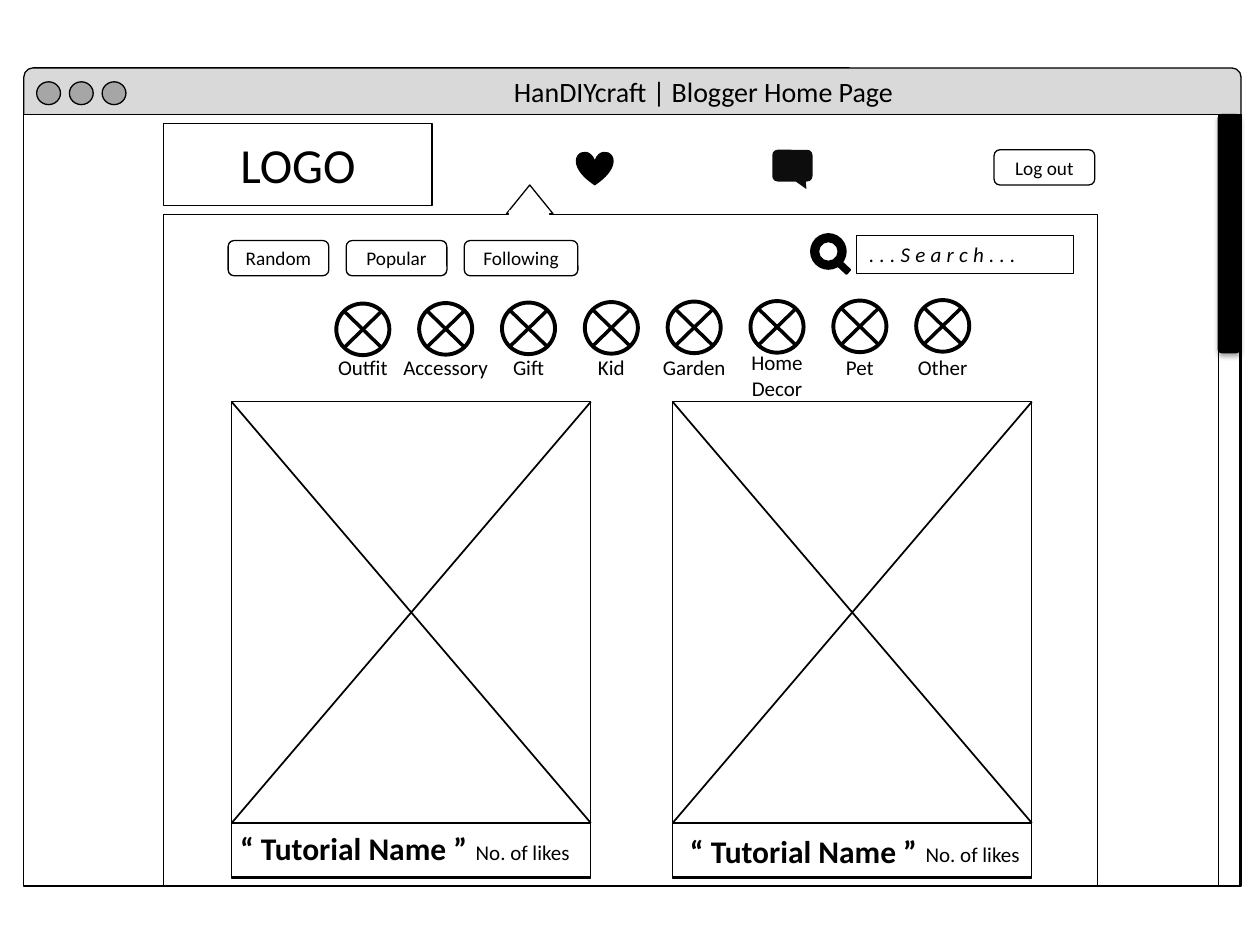
from lxml import etree
from pptx import Presentation
from pptx import util as u
from pptx.dml.color import RGBColor
from pptx.enum import shapes, text
from pptx.oxml import parse_xml
from pptx.oxml.ns import nsdecls, qn

BLACK = RGBColor(0x00, 0x00, 0x00)
INK = RGBColor(0x0D, 0x0D, 0x0D)
WHITE = RGBColor(0xFF, 0xFF, 0xFF)
BAR_GREY = RGBColor(0xD9, 0xD9, 0xD9)
DOT_GREY = RGBColor(0xA6, 0xA6, 0xA6)
FONT = "Calibri"
KIND = shapes.MSO_SHAPE
CENTER = text.PP_ALIGN.CENTER
LEFT = text.PP_ALIGN.LEFT
FILTERS = [("Random", 2.03), ("Popular", 2.03), ("Following", 2.29)]
CATEGORIES = [("Outfit", 1.52), ("Accessory", 2.26), ("Gift", 1.14), ("Kid", 1.07),
              ("Garden", 1.8), ("Home\nDecor", 1.55), ("Pet", 1.09), ("Other", 1.52)]


def add_block(slide, kind, x, y, w, h, fill=None, line=BLACK, weight=0.75):
    """Add a preset shape with flat fill and outline."""
    sp = slide.shapes.add_shape(kind, u.Cm(x), u.Cm(y), u.Cm(w), u.Cm(h))
    sp.shadow.inherit = False
    if fill is None:
        sp.fill.background()
    else:
        sp.fill.solid()
        sp.fill.fore_color.rgb = fill
    if line is None:
        sp.line.fill.background()
    else:
        sp.line.color.rgb = line
        sp.line.width = u.Pt(weight)
    return sp


def write(sp, words, size, align=CENTER, bold=False, italic=False):
    """Write black text into a shape, one paragraph per line."""
    tf = sp.text_frame
    tf.text = words
    for p in tf.paragraphs:
        p.alignment = align
        p.font.name = FONT
        p.font.size = u.Pt(size)
        p.font.color.rgb = BLACK
        p.font.bold = bold
        p.font.italic = italic
    return tf


def add_label(slide, x, y, w, h, words, size, align=LEFT, bold=False, wrap=False):
    """Add a text box that grows with its text."""
    tf = write(slide.shapes.add_textbox(u.Cm(x), u.Cm(y), u.Cm(w), u.Cm(h)),
               words, size, align, bold)
    tf.word_wrap = wrap
    tf.auto_size = text.MSO_AUTO_SIZE.SHAPE_TO_FIT_TEXT


def add_cross(slide, x, y, w, h, weight):
    """Draw both diagonals of a box."""
    for start, end in ((y, y + h), (y + h, y)):
        line = slide.shapes.add_connector(shapes.MSO_CONNECTOR.STRAIGHT, u.Cm(x),
                                          u.Cm(start), u.Cm(x + w), u.Cm(end))
        line.line.color.rgb = BLACK
        line.line.width = u.Pt(weight)
        etree.SubElement(line._element.spPr, qn("a:effectLst"))


def add_button(slide, x, y, w, words):
    """Add a rounded outline button."""
    write(add_block(slide, KIND.ROUNDED_RECTANGLE, x, y, w, 0.71), words, 11)


def add_window(slide, x, y, w, h):
    """Draw the browser window with its title bar and controls."""
    add_block(slide, KIND.ROUNDED_RECTANGLE, x, y, w, 1.12, BAR_GREY)
    add_block(slide, KIND.RECTANGLE, x, y + 0.94, w, h - 0.94, WHITE)
    for i in range(3):
        add_block(slide, KIND.OVAL, x + 0.26 + 0.66 * i, y + 0.28, 0.48, 0.46, DOT_GREY)
    add_label(slide, x + 9.63, y, 8.31, 0.94, "HanDIYcraft | Blogger Home Page", 16,
              wrap=True)


def add_scrollbar(slide, x, y, w, h):
    """Draw the scroll track and its shadowed thumb."""
    add_block(slide, KIND.RECTANGLE, x, y, w, h, WHITE)
    thumb = add_block(slide, KIND.ROUNDED_RECTANGLE, x, y, w, 4.8, BLACK)
    thumb._element.spPr.find(qn("a:effectLst")).append(parse_xml(
        f'<a:outerShdw {nsdecls("a")} blurRad="{u.Pt(3.1)}" dist="{u.Pt(1.8)}" '
        'dir="5400000" rotWithShape="0"><a:srgbClr val="000000">'
        '<a:alpha val="35000"/></a:srgbClr></a:outerShdw>'))


def add_header(slide, x, y):
    """Place the logo box, the navigation icons and the log out button."""
    write(add_block(slide, KIND.RECTANGLE, x, y, 5.41, 1.65, WHITE), "LOGO", 28)
    add_block(slide, KIND.HEART, x + 8.31, y + 0.56, 0.76, 0.69, BLACK, None)
    chat = add_block(slide, KIND.ROUNDED_RECTANGULAR_CALLOUT, x + 12.27, y + 0.53,
                     0.81, 0.64, INK, None)
    chat.adjustments[0] = 0.35
    chat.adjustments[1] = 0.74
    add_button(slide, x + 16.74, y + 0.53, 2.03, "Log out")


def add_panel(slide, x, y, w, h):
    """Draw the content panel with its pointer and filter buttons."""
    add_block(slide, KIND.RECTANGLE, x, y, w, h, WHITE)
    add_block(slide, KIND.ISOSCELES_TRIANGLE, x + 6.91, y - 0.59, 0.94, 0.58, WHITE)
    add_block(slide, KIND.RECTANGLE, x + 6.96, y - 0.08, 0.81, 0.2, WHITE, None)
    left = x + 1.3
    for words, width in FILTERS:
        add_button(slide, left, y + 0.53, width, words)
        left += width + 0.35


def add_search(slide, x, y):
    """Draw the magnifier and the search field."""
    add_block(slide, KIND.ROUNDED_RECTANGLE, x + 0.89, y + 0.1, 4.45, 0.97, WHITE, None)
    field = add_block(slide, KIND.RECTANGLE, x + 0.94, y + 0.05, 4.37, 0.76)
    tf = write(field, "...Search...", 12, LEFT, italic=True)
    tf.vertical_anchor = text.MSO_ANCHOR.TOP
    tf.paragraphs[0].runs[0].font._element.set("spc", "300")
    add_block(slide, KIND.DONUT, x, y, 0.74, 0.74, BLACK, None)
    handle = add_block(slide, KIND.ROUNDED_RECTANGLE, x + 0.43, y + 0.58, 0.41, 0.15,
                       BLACK, None)
    handle.rotation = 43.1


def add_categories(slide, x, y):
    """Place the row of crossed circles with their labels."""
    w, h = 1.07, 1.04
    for i, (words, width) in enumerate(CATEGORIES):
        left, top = x + 1.67 * i, y - 0.01 * i
        add_block(slide, KIND.OVAL, left, top, w, h, weight=2.25)
        add_cross(slide, left + 0.15 * w, top + 0.15 * h, 0.7 * w, 0.7 * h, 2)
        two_lines = "\n" in words
        add_label(slide, left + (w - width) / 2, y + (0.81 if two_lines else 0.91),
                  width, 1.27 if two_lines else 0.76, words, 12, CENTER)


def add_card(slide, x, y, w, h, dx, dy):
    """Draw a tutorial card whose caption text is shifted by dx and dy."""
    caption = y + 8.49
    add_block(slide, KIND.RECTANGLE, x, y, w, h, WHITE)
    add_block(slide, KIND.RECTANGLE, x, caption, w, 1.09, WHITE)
    add_cross(slide, x, y, w, caption - y, 1)
    add_label(slide, x + dx, caption + dy, 5.18, 1.02, "“ Tutorial Name ”", 18, bold=True)
    add_label(slide, x + dx + 4.75, caption + dy + 0.2, 2.44, 0.76, "No. of likes", 12)


def main():
    """Build the wireframe slide."""
    prs = Presentation()
    prs.slide_width, prs.slide_height = u.Cm(25.4), u.Cm(19.05)
    slide = prs.slides.add_slide(prs.slide_layouts[6])
    add_window(slide, 0.48, 1.37, 24.54, 16.49)
    add_panel(slide, 3.3, 4.32, 18.82, 13.54)
    add_scrollbar(slide, 24.56, 2.31, 0.43, 15.55)
    add_header(slide, 3.3, 2.49)
    add_search(slide, 16.33, 4.7)
    for left, dx, dy in ((4.67, -0.08, 0), (13.56, 0.1, 0.05)):
        add_card(slide, left, 8.1, 7.24, 9.6, dx, dy)
    add_categories(slide, 6.78, 6.12)
    prs.save("out.pptx")


if __name__ == "__main__":
    main()
